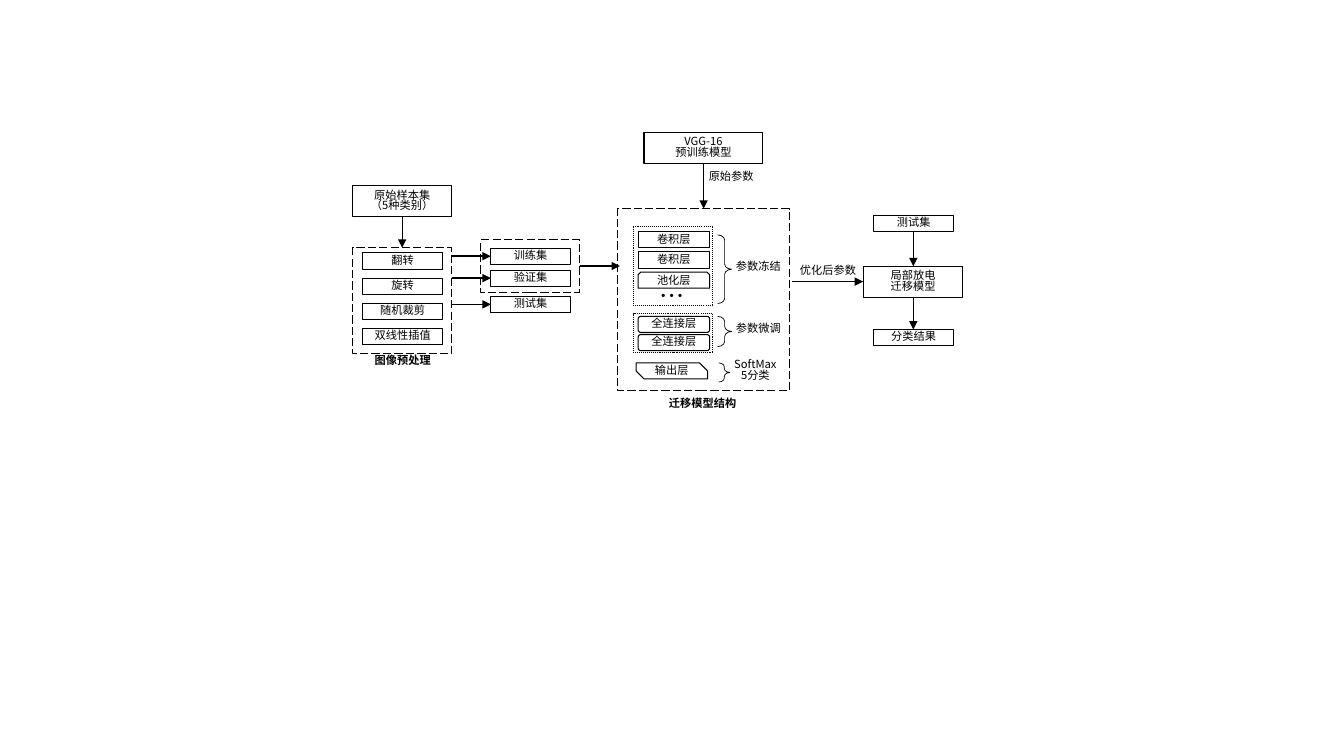
from lxml import etree
from pptx import Presentation
from pptx.dml.color import RGBColor
from pptx.enum import dml, shapes, text
from pptx.oxml import ns
from pptx.util import Pt

BLACK = RGBColor(0, 0, 0)
FONT = "Noto Sans CJK SC"
KIND = shapes.MSO_SHAPE
GROUP = dml.MSO_LINE.LONG_DASH
LAYERS = dml.MSO_LINE.ROUND_DOT

deck = Presentation()
deck.slide_width, deck.slide_height = Pt(960), Pt(540)
page = deck.slides.add_slide(deck.slide_layouts[6])


def add_box(left, top, width, height, kind=KIND.RECTANGLE, dash=None, line=0.75):
    """Add an unfilled black outline."""
    box = page.shapes.add_shape(kind, Pt(left), Pt(top), Pt(width), Pt(height))
    box.shadow.inherit = False
    box.fill.background()
    box.line.color.rgb = BLACK
    box.line.width = Pt(line)
    if dash:
        box.line.dash_style = dash
    return box


def write(box, words, size=8, bold=False):
    """Centre black text in a box."""
    frame = box.text_frame
    frame.text = words
    frame.word_wrap = True
    frame.vertical_anchor = text.MSO_ANCHOR.MIDDLE
    frame.margin_top = frame.margin_bottom = 0
    for para in frame.paragraphs:
        para.alignment = text.PP_ALIGN.CENTER
        para.line_spacing = 0.8
        for span in para.runs:
            span.font.name = FONT
            span.font.size = Pt(size)
            span.font.bold = bold
            span.font.color.rgb = BLACK
            east_asian = etree.SubElement(span.font._element, ns.qn("a:ea"))
            east_asian.set("typeface", FONT)


# Dashed groups, dotted layer blocks
for left, top, width, height, dash in [
    (252, 177, 70.6, 75.6, GROUP),
    (343.4, 171.4, 70.6, 37.4, GROUP),
    (441.4, 149, 122.4, 130.3, GROUP),
    (452.2, 161.5, 56.9, 56.9, LAYERS),
    (452.2, 224, 56.9, 28.1, LAYERS),
]:
    add_box(left, top, width, height, dash=dash)

# Two-line boxes
for left, top, width, words in [
    (252, 132.5, 70.6, "原始样本集\n（5种类别）"),
    (460, 94.4, 85, "VGG-16\n预训练模型"),
    (617, 190.2, 70.6, "局部放电\n迁移模型"),
]:
    write(add_box(left, top, width, 22.5), words)

# Preprocessing steps, data sets and results
steps = ["翻转", "旋转", "随机裁剪", "双线性插值"]
small_boxes = [(259.2, 180.7 + 18 * row, step) for row, step in enumerate(steps)]
small_boxes += [
    (350.6, 177.5, "训练集"),
    (350.6, 193, "验证集"),
    (350.6, 211.7, "测试集"),
    (624.2, 154, "测试集"),
    (624.2, 235.4, "分类结果"),
]
for left, top, words in small_boxes:
    write(add_box(left, top, 56.9, 11.5), words)

# Network layers
for left, top, kind, words in [
    (455.8, 165.6, KIND.RECTANGLE, "卷积层"),
    (455.8, 180, KIND.RECTANGLE, "卷积层"),
    (455.8, 194.4, KIND.SNIP_2_SAME_RECTANGLE, "池化层"),
    (455.8, 226, KIND.ROUNDED_RECTANGLE, "全连接层"),
    (455.8, 239, KIND.ROUNDED_RECTANGLE, "全连接层"),
    (454.3, 259.2, KIND.SNIP_2_DIAG_RECTANGLE, "输出层"),
]:
    layer = add_box(left, top, 51.1, 11.5, kind)
    if kind == KIND.SNIP_2_DIAG_RECTANGLE:
        layer.adjustments[0], layer.adjustments[1] = 0, 0.5
    write(layer, words)

# Braces beside the layers
for left, top, width, height in [
    (512.6, 167.8, 10.1, 49),
    (512.6, 226, 10.1, 21.6),
    (513.4, 259.2, 7.9, 13.7),
]:
    brace = add_box(left, top, width, height, KIND.RIGHT_BRACE, line=0.5)
    brace.adjustments[0] = 0.363

# Labels
for left, top, width, height, words, size, bold in [
    (462.2, 208.8, 36, 7.9, "…", 18, False),
    (459.4, 283, 85, 11.5, "迁移模型结构", 8, True),
    (259.2, 252, 56.9, 11.5, "图像预处理", 8, True),
    (517.7, 182.2, 48.2, 17.3, "参数冻结", 8, False),
    (517.7, 226.8, 48.2, 17.3, "参数微调", 8, False),
    (515.5, 256.3, 48.2, 17.3, "SoftMax 5分类", 8, False),
    (493.9, 121, 56.9, 11.5, "原始参数", 8, False),
    (563, 187.9, 56.9, 11.5, "优化后参数", 8, False),
]:
    label = page.shapes.add_textbox(Pt(left), Pt(top), Pt(width), Pt(height))
    write(label, words, size, bold)

# Arrows
for start_x, start_y, end_x, end_y in [
    (287.3, 154.8, 287.3, 177),
    (322.6, 183, 350.6, 183),
    (322.6, 198.7, 350.6, 198.7),
    (322.6, 217.4, 350.6, 217.4),
    (414, 190, 442.8, 190),
    (502.6, 117.2, 502.6, 149),
    (566, 201.2, 616.5, 201.2),
    (652.4, 165.6, 652.4, 190.2),
    (652.4, 213, 652.4, 235.4),
]:
    arrow = page.shapes.add_connector(
        shapes.MSO_CONNECTOR.STRAIGHT, Pt(start_x), Pt(start_y), Pt(end_x), Pt(end_y))
    arrow.line.color.rgb = BLACK
    arrow.line.width = Pt(1)
    head = etree.SubElement(arrow.line._get_or_add_ln(), ns.qn("a:tailEnd"))
    head.set("type", "triangle")
    etree.SubElement(arrow._element.spPr, ns.qn("a:effectLst"))

deck.save("out.pptx")
